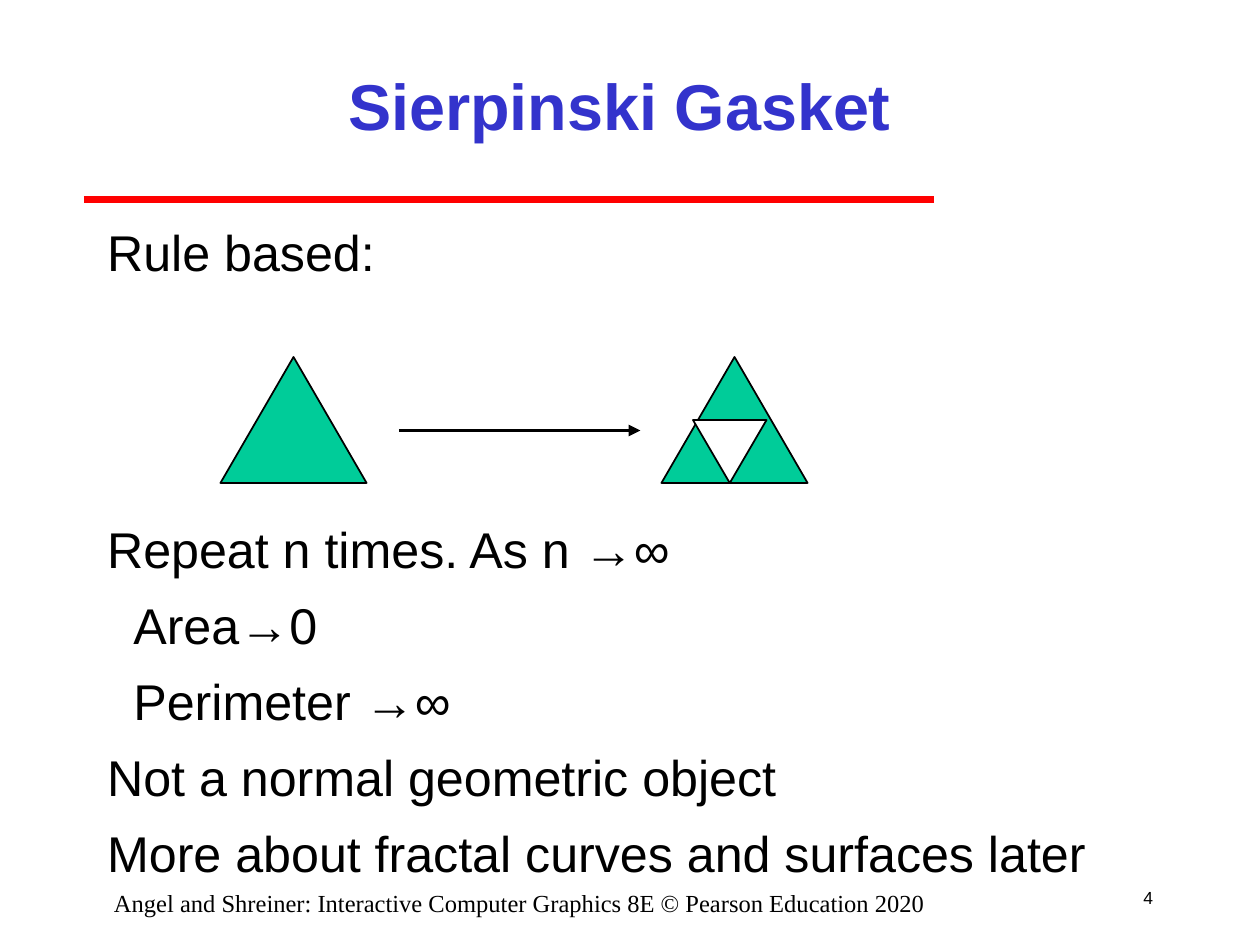
from lxml import etree
from pptx import Presentation
from pptx import util as u
from pptx.dml import color
from pptx.enum import shapes, text
from pptx.oxml import ns

BLACK, GREEN, WHITE = "000000", "00CC99", "FFFFFF"
BODY_LINES = [  # text, left indent, space before
    ("Rule based:", 0, 0),
    ("Repeat n times. As n →∞", 0, 135),
    ("Area→0", 15, 9),
    ("Perimeter →∞", 15, 9),
    ("Not a normal geometric object", 0, 9),
    ("More about fractal curves and surfaces later", 0, 9),
]


def rgb(value):
    return color.RGBColor.from_string(value)


def place(shape, left, top, width, height):
    shape.left, shape.top = u.Pt(left), u.Pt(top)
    shape.width, shape.height = u.Pt(width), u.Pt(height)


def style(paragraph, size, align, name="Arial", fill=BLACK, bold=False):
    paragraph.alignment = align
    font = paragraph.font
    font.name, font.size, font.bold = name, u.Pt(size), bold
    font.color.rgb = rgb(fill)


def set_title(slide, title):
    shape = slide.shapes.title
    place(shape, 108, 18, 492, 84)
    frame = shape.text_frame
    frame.text = title
    frame.auto_size = text.MSO_AUTO_SIZE.NONE
    frame.vertical_anchor = text.MSO_ANCHOR.MIDDLE
    style(frame.paragraphs[0], 37, text.PP_ALIGN.CENTER, fill="3333CC", bold=True)


def set_body(slide, lines):
    shape = slide.placeholders[1]
    place(shape, 54, 120, 666, 372)
    frame = shape.text_frame
    frame.text = "\n".join(line for line, _, _ in lines)
    frame.auto_size = text.MSO_AUTO_SIZE.NONE
    frame.margin_top = u.Pt(6.5)
    for paragraph, (_, indent, before) in zip(frame.paragraphs, lines):
        properties = paragraph._p.get_or_add_pPr()
        properties.set("marL", str(u.Pt(indent)))
        properties.set("indent", "0")
        etree.SubElement(properties, ns.qn("a:buNone"))
        paragraph.space_before = u.Pt(before)
        style(paragraph, 28.7, text.PP_ALIGN.LEFT)


def add_label(slide, box, label, size, align, name="Arial",
              anchor=text.MSO_ANCHOR.TOP):
    shape = slide.shapes.add_textbox(*map(u.Pt, box))
    frame = shape.text_frame
    frame.word_wrap = True
    frame.vertical_anchor = anchor
    frame.text = label
    style(frame.paragraphs[0], size, align, name)


def add_triangle(parent, box, fill, rotation=0):
    shape = parent.shapes.add_shape(
        shapes.MSO_SHAPE.ISOSCELES_TRIANGLE, *map(u.Pt, box))
    shape.shadow.inherit = False
    shape.rotation = rotation
    shape.fill.solid()
    shape.fill.fore_color.rgb = rgb(fill)
    shape.line.color.rgb = rgb(BLACK)
    shape.line.width = u.Pt(1)


def add_line(parent, left, right, y, fill, width, arrow=False):
    line = parent.shapes.add_connector(
        shapes.MSO_CONNECTOR.STRAIGHT, u.Pt(left), u.Pt(y), u.Pt(right), u.Pt(y))
    line.line.color.rgb = rgb(fill)
    line.line.width = u.Pt(width)
    if arrow:
        etree.SubElement(line.line._get_or_add_ln(), ns.qn("a:tailEnd"),
                         type="triangle")
    etree.SubElement(line._element.spPr, ns.qn("a:effectLst"))


def add_subdivision_rule(slide):
    group = slide.shapes.add_group_shape()
    for left in (126, 378):
        add_triangle(group, (left, 204, 83.5, 72), GREEN)
    add_triangle(group, (396, 240, 42, 36), WHITE, rotation=180)
    add_line(group, 228, 366, 246, BLACK, 2.25, arrow=True)


def main():
    presentation = Presentation()
    presentation.slide_width, presentation.slide_height = u.Pt(720), u.Pt(540)
    slide = presentation.slides.add_slide(presentation.slide_layouts[1])

    # Heading and rule below it
    set_title(slide, "Sierpinski Gasket")
    add_line(slide, 48, 534, 114, "FF0000", 4)

    # Text and the triangle subdivision
    set_body(slide, BODY_LINES)
    add_subdivision_rule(slide)

    # Footer and slide number
    add_label(slide, (36, 504, 522, 18),
              "Angel and Shreiner: Interactive Computer Graphics 8E "
              "© Pearson Education 2020",
              14, text.PP_ALIGN.CENTER, "Times New Roman")
    add_label(slide, (636, 498, 30, 30), "4", 10, text.PP_ALIGN.RIGHT,
              anchor=text.MSO_ANCHOR.MIDDLE)

    presentation.save("out.pptx")


if __name__ == "__main__":
    main()
